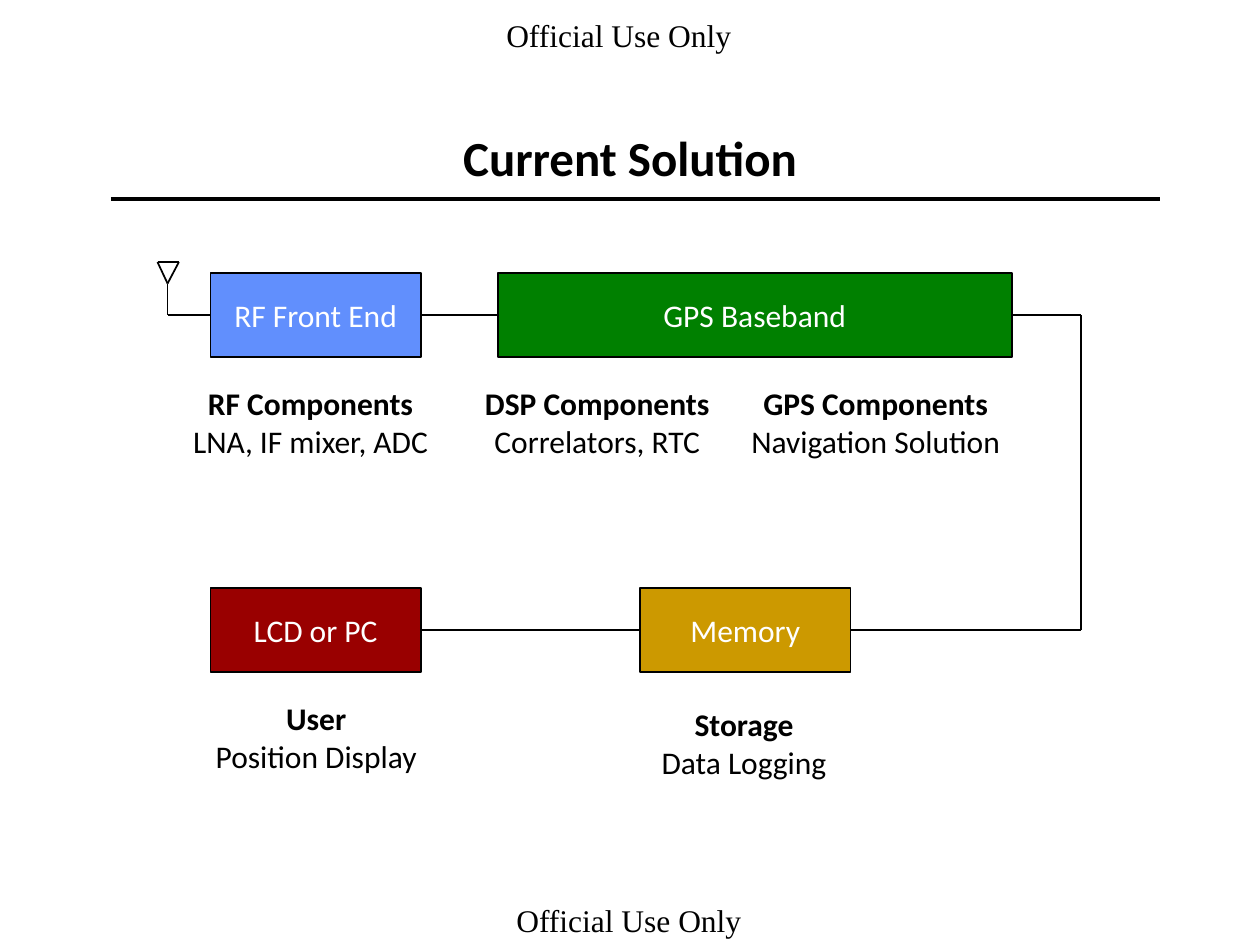
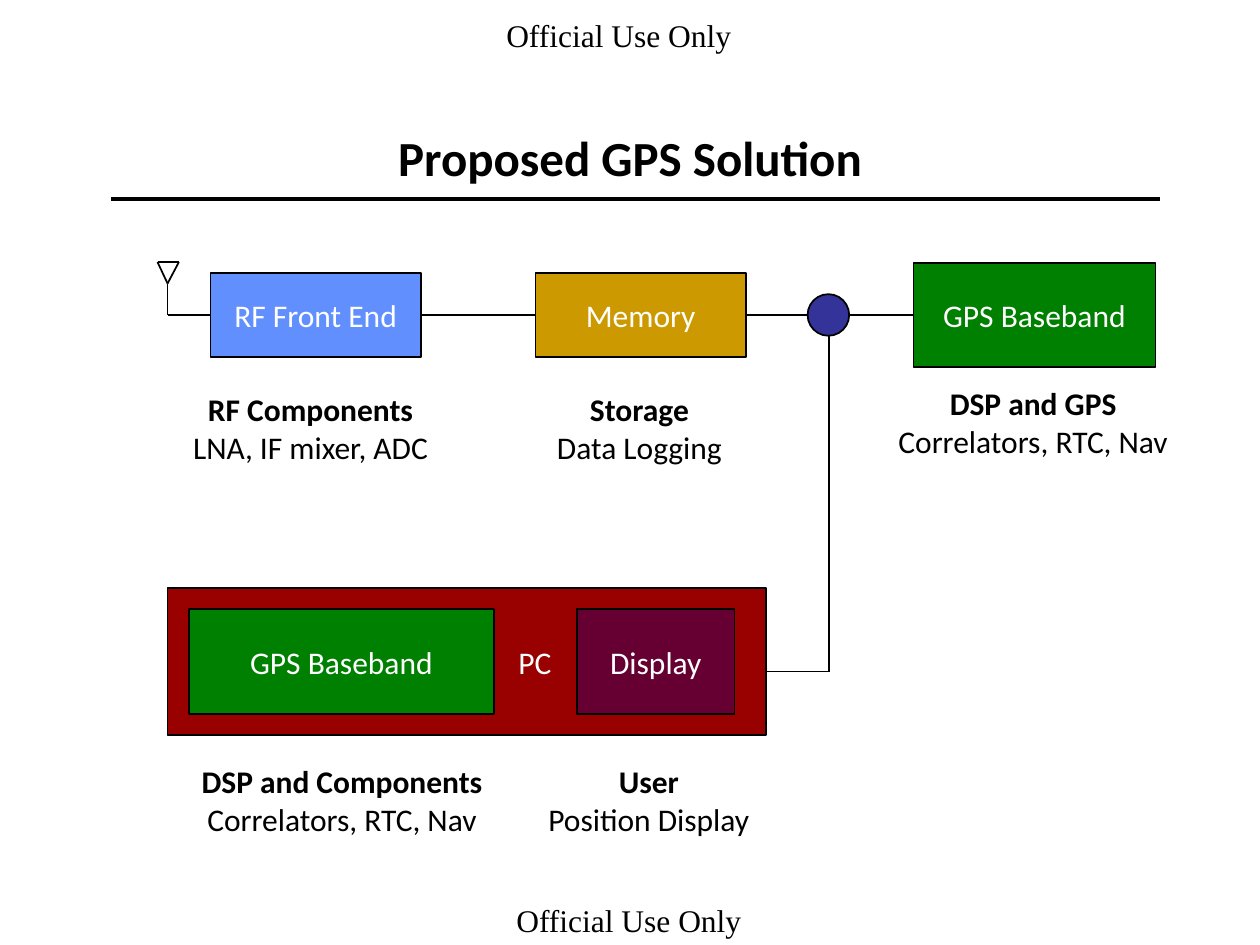
import pptx
import pptx.util
import pptx.dml.color
import pptx.enum.shapes
import pptx.enum.text
import pptx.oxml.ns
import lxml.etree

Inches, Pt = pptx.util.Inches, pptx.util.Pt
SHAPE = pptx.enum.shapes.MSO_SHAPE
TEXT = pptx.enum.text

BLACK, WHITE = "000000", "FFFFFF"
RF_BLUE, GPS_GREEN, MEMORY_GOLD = "618FFD", "008000", "CC9900"
PC_RED, DISPLAY_PLUM, SPLIT_BLUE = "990000", "660033", "333399"
BODY = dict(name="Calibri", size=Pt(18), bold=False)
BOLD = dict(BODY, bold=True)
TITLE = dict(BOLD, size=Pt(28))
MARKING = dict(BODY, name="Times New Roman")
BLOCK_W, BLOCK_H = 1.67, 0.67


def rgb(hex_color):
    return pptx.dml.color.RGBColor.from_string(hex_color)


def put_text(tf, lines, color=BLACK, align=TEXT.PP_ALIGN.CENTER, wrap=False):
    """Fill a text frame with (text, font format) lines."""
    tf.word_wrap = wrap
    for i, (text, fmt) in enumerate(lines):
        p = tf.paragraphs[0] if i == 0 else tf.add_paragraph()
        p.alignment = align
        r = p.add_run()
        r.text = text
        for key, value in fmt.items():
            setattr(r.font, key, value)
        r.font.color.rgb = rgb(color)


def add_text(s, left, top, width, height, lines, **options):
    sp = s.shapes.add_textbox(*map(Inches, (left, top, width, height)))
    put_text(sp.text_frame, lines, **options)
    sp.text_frame.auto_size = TEXT.MSO_AUTO_SIZE.SHAPE_TO_FIT_TEXT


def add_caption(s, left, top, width, heading, detail):
    add_text(s, left, top, width, 0.7, [(heading, BOLD), (detail, BODY)])


def add_block(s, text, fill, left, mid, w=BLOCK_W, h=BLOCK_H, kind=SHAPE.RECTANGLE, outlined=True):
    """Draw a block whose vertical middle is at mid."""
    sp = s.shapes.add_shape(kind, *map(Inches, (left, mid - h / 2, w, h)))
    sp.shadow.inherit = False
    sp.fill.solid()
    sp.fill.fore_color.rgb = rgb(fill)
    if outlined:
        sp.line.color.rgb = rgb(BLACK)
        sp.line.width = Pt(1)
    else:
        sp.line.fill.background()
    if text:
        put_text(sp.text_frame, [(text, BODY)], color=WHITE)
        sp.text_frame.vertical_anchor = TEXT.MSO_ANCHOR.MIDDLE
    return sp


def add_wire(s, *points, begin=None, end=None, width=1):
    """Join points with straight lines; begin and end are (shape, side)."""
    wires = []
    for a, b in zip(points, points[1:]):
        cx = s.shapes.add_connector(pptx.enum.shapes.MSO_CONNECTOR.STRAIGHT, *map(Inches, a + b))
        cx.line.color.rgb = rgb(BLACK)
        cx.line.width = Pt(width)
        lxml.etree.SubElement(cx._element.spPr, pptx.oxml.ns.qn("a:effectLst"))
        wires.append(cx)
    if begin:
        wires[0].begin_connect(*begin)
    if end:
        wires[-1].end_connect(*end)


def add_frame(prs, title):
    """Start a slide with its title, rule and markings."""
    s = prs.slides.add_slide(prs.slide_layouts[5])
    sp = s.shapes.title
    sp.left, sp.top, sp.width, sp.height = map(Inches, (0.75, 0.58, 8.5, 1.33))
    put_text(sp.text_frame, [(title, TITLE)], wrap=True)
    sp.text_frame.vertical_anchor = TEXT.MSO_ANCHOR.MIDDLE
    add_wire(s, (0.88, 1.58), (9.21, 1.58), width=2)
    for left, top in ((3.92, 0.08), (4, 7.1)):
        add_text(s, left, top, 2.17, 0.4, [("Official Use Only", MARKING)],
                 align=TEXT.PP_ALIGN.LEFT, wrap=True)
    return s


def add_receiver(s, x, y, caption_top):
    """Antenna and RF front end, with the antenna's corner at x, y."""
    mid, mast = y + 0.42, x + 0.08
    rf = add_block(s, "RF Front End", RF_BLUE, x + 0.42, mid)
    tip = (mast, y + 0.17)
    add_wire(s, tip, (x, y), (x + 0.17, y), tip, (mast, mid), (x + 0.42, mid), end=(rf, 1))
    add_caption(s, x + 0.17, caption_top, 2.09, "RF Components", "LNA, IF mixer, ADC")
    return rf


def add_current(s, x, y):
    top_mid, low_mid, bend = y + 0.42, y + 2.92, x + 7.33
    # Receive and process
    rf = add_receiver(s, x, y, y + 0.92)
    gps = add_block(s, "GPS Baseband", GPS_GREEN, x + 2.7, top_mid, w=4.08)
    add_caption(s, x + 2.5, y + 0.92, 1.98, "DSP Components", "Correlators, RTC")
    add_caption(s, x + 4.61, y + 0.92, 2.18, "GPS Components", "Navigation Solution")
    # Store and show
    memory = add_block(s, "Memory", MEMORY_GOLD, x + 3.83, low_mid)
    add_caption(s, x + 3.9, y + 3.47, 1.51, "Storage", "Data Logging")
    screen = add_block(s, "LCD or PC", PC_RED, x + 0.42, low_mid)
    add_caption(s, x + 0.36, y + 3.42, 1.8, "User", "Position Display")
    # Wiring
    add_wire(s, (x + 2.08, top_mid), (x + 2.7, top_mid), begin=(rf, 3), end=(gps, 1))
    add_wire(s, (x + 6.78, top_mid), (bend, top_mid), (bend, low_mid), (x + 5.5, low_mid),
             begin=(gps, 3), end=(memory, 3))
    add_wire(s, (x + 2.08, low_mid), (x + 3.83, low_mid), begin=(screen, 3), end=(memory, 1))


def add_pc(s, x, y):
    """PC with its baseband and display, with its corner at x, y."""
    mid = y + 0.58
    add_block(s, "", PC_RED, x, mid, w=4.75, h=1.17)
    for text, fill, left, width, outlined in (("PC", PC_RED, 2.5, 0.83, False),
                                              ("GPS Baseband", GPS_GREEN, 0.17, 2.42, True),
                                              ("Display", DISPLAY_PLUM, 3.25, 1.25, True)):
        add_block(s, text, fill, x + left, mid, w=width, h=0.83, outlined=outlined)
    add_caption(s, x + 0.17, y + 1.33, 2.43, "DSP and Components", "Correlators, RTC, Nav")
    add_caption(s, x + 2.92, y + 1.33, 1.8, "User", "Position Display")


def add_proposed(s, x, y):
    mid, split, pc_wire = y + 0.42, x + 5.33, y + 3.25
    # Receive, store and process
    rf = add_receiver(s, x, y, y + 0.97)
    memory = add_block(s, "Memory", MEMORY_GOLD, x + 3, mid)
    add_caption(s, x + 3.07, y + 0.97, 1.51, "Storage", "Data Logging")
    gps = add_block(s, "GPS Baseband", GPS_GREEN, x + 6, mid, w=1.92, h=0.83)
    add_caption(s, x + 5.77, y + 0.92, 2.36, "DSP and GPS", "Correlators, RTC, Nav")
    add_pc(s, x + 0.08, y + 2.59)
    # Wiring, with the split point on top
    add_wire(s, (x + 2.08, mid), (x + 3, mid), begin=(rf, 3), end=(memory, 1))
    add_wire(s, (x + 4.67, mid), (x + 6, mid), begin=(memory, 3), end=(gps, 1))
    add_wire(s, (split, mid), (split, pc_wire), (x + 4.83, pc_wire))
    add_block(s, "", SPLIT_BLUE, split - 0.17, mid, w=0.33, h=0.33, kind=SHAPE.OVAL)


def main():
    prs = pptx.Presentation()
    prs.slide_width, prs.slide_height = Inches(10), Inches(7.5)
    for title, add_diagram in (("Current Solution", add_current),
                               ("Proposed GPS Solution", add_proposed)):
        add_diagram(add_frame(prs, title), 1.25, 2.08)
    prs.save("out.pptx")


if __name__ == "__main__":
    main()
